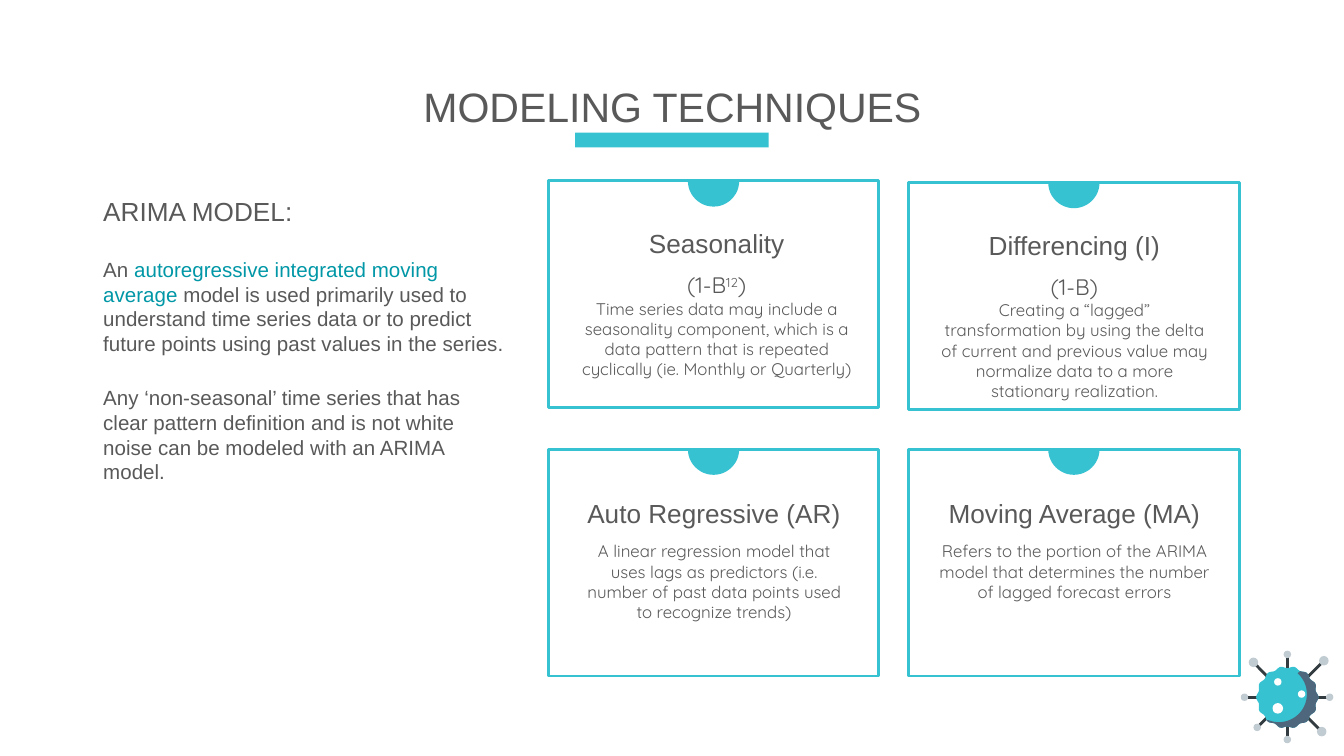
import math

import pptx
import pptx.dml.color
import pptx.enum.shapes
import pptx.enum.text
import pptx.oxml.ns
import pptx.util
from lxml import etree

Cm, Pt = pptx.util.Cm, pptx.util.Pt
RGBColor = pptx.dml.color.RGBColor
KIND = pptx.enum.shapes.MSO_SHAPE
ANCHOR = pptx.enum.text.MSO_ANCHOR
ALIGN = pptx.enum.text.PP_ALIGN

TEAL = RGBColor(0x37, 0xC2, 0xD1)
LINK = RGBColor(0x00, 0x97, 0xA7)
GRAY = RGBColor(0x59, 0x59, 0x59)
WHITE = RGBColor(0xFF, 0xFF, 0xFF)
DARK = RGBColor(0x32, 0x3C, 0x40)
SLATE = RGBColor(0x4E, 0x67, 0x7C)
PALE = RGBColor(0xC1, 0xCB, 0xD2)


def arc(x, y, start, stop, size, wave=0.0):
    """Points along a circle, with 14 bumps when wave is set."""
    step = 4 if stop > start else -4
    pts = []
    for deg in range(start, stop + step, step):
        t = math.radians(deg)
        r = size + wave * math.cos(14 * t)
        pts.append((x + r * math.cos(t), y + r * math.sin(t)))
    return pts


class Deck:
    sans, soft = "Arial", "Quicksand"

    def __init__(self, wide, high):
        self.file = pptx.Presentation()
        self.file.slide_width, self.file.slide_height = Cm(wide), Cm(high)
        self.slide = self.file.slides.add_slide(self.file.slide_layouts[1])
        self.shapes = self.slide.shapes

    def paint(self, shape, fill, line=None):
        shape.shadow.inherit = False
        shape.fill.solid()
        shape.fill.fore_color.rgb = fill
        if line is None:
            shape.line.fill.background()
        else:
            shape.line.color.rgb = line
            shape.line.width = Pt(1.5)
        return shape

    def form(self, kind, x, y, w, h, fill, line=None):
        shape = self.shapes.add_shape(kind, Cm(x), Cm(y), Cm(w), Cm(h))
        return self.paint(shape, fill, line)

    def dot(self, x, y, r, fill):
        self.form(KIND.OVAL, x - r, y - r, 2 * r, 2 * r, fill)

    def patch(self, pts, fill):
        pts = [(Cm(x), Cm(y)) for x, y in pts]
        pen = self.shapes.build_freeform(*pts[0])
        pen.add_line_segments(pts[1:])
        self.paint(pen.convert_to_shape(), fill)

    def line(self, x1, y1, x2, y2, color):
        wire = self.shapes.add_connector(
            pptx.enum.shapes.MSO_CONNECTOR.STRAIGHT, Cm(x1), Cm(y1), Cm(x2), Cm(y2))
        wire.line.color.rgb = color
        wire.line.width = Pt(1.5)
        etree.SubElement(wire._element.spPr, pptx.oxml.ns.qn("a:effectLst"))

    def text(self, box, paras, face, anchor=ANCHOR.TOP, align=ALIGN.CENTER,
             pad=0.0, after=0, shape=None):
        """Write paragraphs of (text, size, colour, baseline) runs."""
        place = dict(zip(("left", "top", "width", "height"), map(Cm, box)))
        shape = shape or self.shapes.add_textbox(*place.values())
        for name, value in place.items():
            setattr(shape, name, value)
        frame = shape.text_frame
        style = {"word_wrap": True, "auto_size": pptx.enum.text.MSO_AUTO_SIZE.NONE,
                 "vertical_anchor": anchor,
                 "margin_left": Cm(0.25), "margin_right": Cm(0.25),
                 "margin_top": Cm(pad), "margin_bottom": Cm(pad)}
        for name, value in style.items():
            setattr(frame, name, value)
        for i, runs in enumerate(paras):
            para = frame.add_paragraph() if i else frame.paragraphs[0]
            look = {"alignment": align, "space_before": Pt(0), "space_after": Pt(after)}
            for name, value in look.items():
                setattr(para, name, value)
            if shape.is_placeholder:
                props = para._p.get_or_add_pPr()
                props.set("marL", "0")
                props.set("indent", "0")
                etree.SubElement(props, pptx.oxml.ns.qn("a:buNone"))
            for words, size, color, base in runs:
                run = para.add_run()
                run.text = words
                for name, value in {"name": face, "size": Pt(size)}.items():
                    setattr(run.font, name, value)
                run.font.color.rgb = color
                if base:
                    run._r.get_or_add_rPr().set("baseline", str(base * 1000))

    def card(self, x, y):
        wide, size = 6.25, 0.97
        self.form(KIND.RECTANGLE, x, y, wide, 4.29, WHITE, TEAL)
        tab = self.form(KIND.PIE, x + (wide - size) / 2, y - size / 2, size, size, TEAL)
        tab.rotation = 180
        tab.adjustments[0], tab.adjustments[1] = 108, 215.71


def run(words, size, color=GRAY, base=0):
    return words, size, color, base


def main():
    deck = Deck(25.4, 14.29)

    # Title and its bar
    deck.form(KIND.RECTANGLE, 10.87, 2.51, 3.66, 0.28, TEAL)
    deck.text((1.98, 1.5, 21.46, 1.02), [[run("MODELING TECHNIQUES", 22)]], deck.sans,
              ANCHOR.MIDDLE, pad=0.25, shape=deck.shapes.title)

    # Model summary on the left
    deck.text((1.7, 3.45, 8.1, 9.78), [
        [run("ARIMA MODEL:", 14)],
        [run("An ", 11), run("autoregressive integrated moving average ", 11, LINK),
         run("model is used primarily used to understand time series data or to "
             "predict future points using past values in the series.", 11)],
        [run("Any ‘non-seasonal’ time series that has clear pattern definition and is "
             "not white noise can be modeled with an ARIMA model.", 11)],
    ], deck.sans, align=ALIGN.LEFT, pad=0.25, after=16, shape=deck.slide.placeholders[1])

    # Four cards: frame corner, text corner, heading, body
    cards = [
        ((10.36, 3.42), (10.74, 3.43), "Seasonality", [
            [run("(1-B", 12), run("12", 12, base=30), run(")", 12)],
            [run("Time series data may include a seasonality component, which is a data "
                 "pattern that is repeated cyclically (ie. Monthly or Quarterly)", 9)]]),
        ((17.17, 3.45), (17.5, 3.46), "Differencing (I)", [
            [run("(1-B)", 12)],
            [run("Creating a “lagged” transformation by using the delta of current and "
                 "previous value may normalize data to a more stationary realization.", 9)]]),
        ((10.36, 8.49), (10.69, 8.53), "Auto Regressive (AR)", [
            [run("A linear regression model that uses lags as predictors (i.e. number of "
                 "past data points used to recognize trends)", 9)]]),
        ((17.17, 8.49), (17.5, 8.53), "Moving Average (MA)", [
            [run("Refers to the portion of the ARIMA model that determines the number of "
                 "lagged forecast errors", 9)]]),
    ]
    for spot, (x, y), head, body in cards:
        deck.card(*spot)
        deck.text((x, y, 5.61, 1.47), [[run(head, 14)]], deck.sans, ANCHOR.BOTTOM)
        deck.text((x, y + 1.7, 5.61, 1.9), body, deck.soft)

    # Virus: spikes with knobs, bumpy body, shade and spots
    x, y = 24.33, 13.18
    knobs = [(24.33, 12.37, 0.07), (25.02, 12.49, 0.09), (25.13, 13.18, 0.07),
             (24.98, 13.83, 0.09), (24.33, 13.98, 0.07), (23.76, 13.75, 0.07),
             (23.52, 13.18, 0.07), (23.69, 12.52, 0.09)]
    for kx, ky, r in knobs:
        deck.line(x, y, kx, ky, DARK)
        deck.dot(kx, ky, r, PALE)
    deck.patch(arc(x, y, 0, 360, 0.57, 0.02), TEAL)
    deck.patch(arc(x, y, -64, 132, 0.57, 0.02) + arc(24.17, 13.12, 112, -48, 0.53), SLATE)
    for sx, sy, r in [(24.15, 12.89, 0.07), (24.6, 13.12, 0.07), (24.15, 13.39, 0.1)]:
        deck.dot(sx, sy, r, WHITE)

    deck.file.save("out.pptx")


if __name__ == "__main__":
    main()
